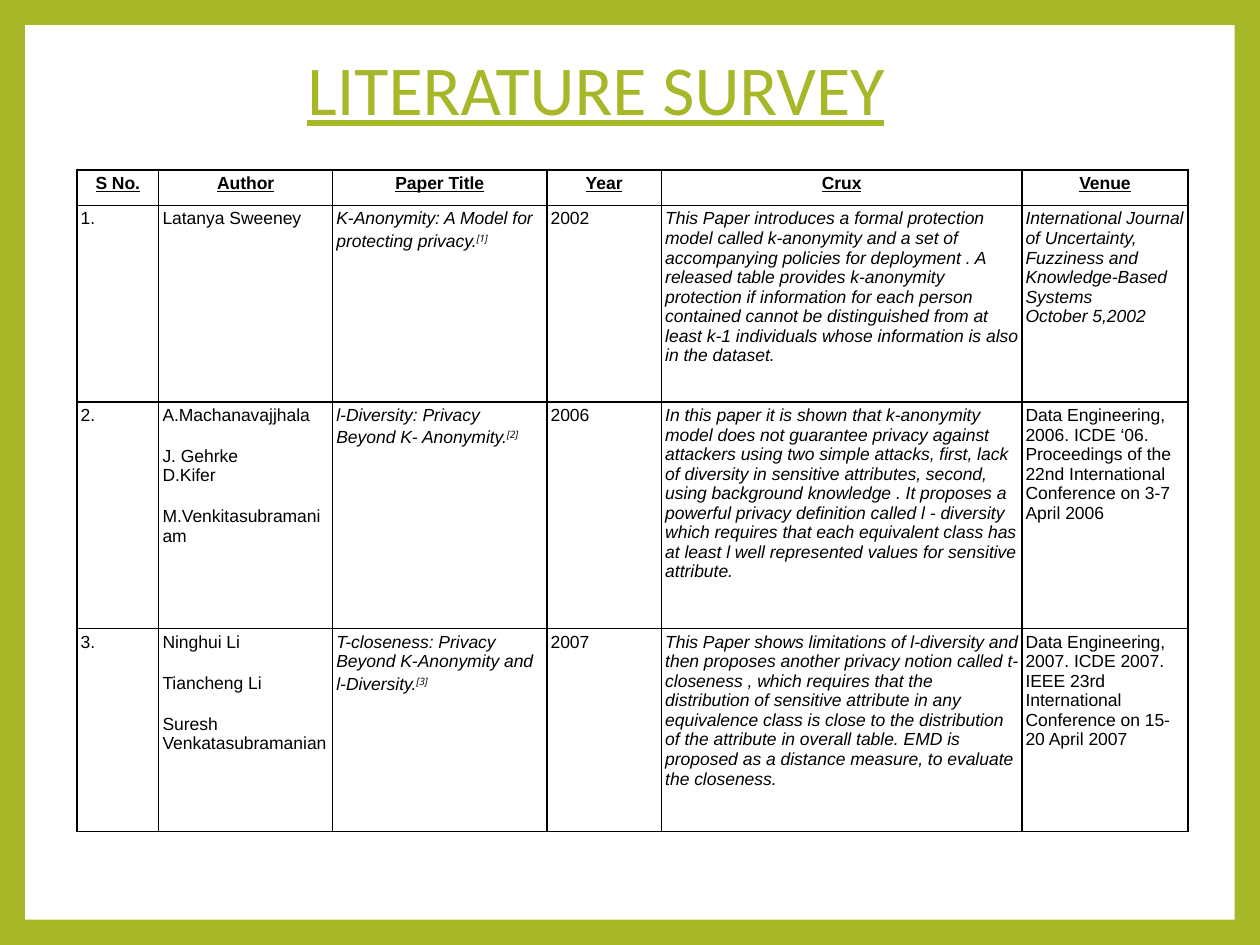
import pptx
import pptx.dml.color
import pptx.enum.shapes
import pptx.enum.text
import pptx.oxml
import pptx.oxml.ns
import pptx.util

WIDTH, HEIGHT = 10, 7.5
COLORS = {"green": "A6B727", "white": "FFFFFF", "black": "000000"}
COLUMN_WIDTHS = [0.65, 1.38, 1.7, 0.91, 2.86, 1.32]
ROW_HEIGHTS = [0.28, 1.56, 1.8, 1.61]
GROUP_GAP = 12.2  # points between groups of authors

HEADERS = ["S No.", "Author", "Paper Title", "Year", "Crux", "Venue"]
# Author groups, paper title, year, crux, venue lines, italic venue
PAPERS = [
    ([["Latanya Sweeney"]],
     "K-Anonymity: A Model for protecting privacy.", "2002",
     "This Paper introduces a formal protection model called k-anonymity and a set of "
     "accompanying policies for deployment . A released table provides k-anonymity "
     "protection if information for each person contained cannot be distinguished from "
     "at least k-1 individuals whose information is also in the dataset.",
     ["International Journal of Uncertainty, Fuzziness and Knowledge-Based Systems",
      "October 5,2002"], True),
    ([["A.Machanavajjhala"], ["J. Gehrke", "D.Kifer"], ["M.Venkitasubramaniam"]],
     "l-Diversity: Privacy Beyond K- Anonymity.", "2006",
     "In this paper it is shown that k-anonymity model does not guarantee privacy against "
     "attackers using two simple attacks, first, lack of diversity in sensitive attributes, "
     "second, using background knowledge . It proposes a powerful privacy definition called "
     "l - diversity which requires that each equivalent class has at least l well "
     "represented values for sensitive attribute.",
     ["Data Engineering, 2006. ICDE ‘06. Proceedings of the 22nd International "
      "Conference on 3-7 April 2006"], False),
    ([["Ninghui Li"], ["Tiancheng Li"], ["Suresh Venkatasubramanian"]],
     "T-closeness: Privacy Beyond K-Anonymity and l-Diversity.", "2007",
     "This Paper shows limitations of l-diversity and then proposes another privacy notion "
     "called t-closeness , which requires that the distribution of sensitive attribute in "
     "any equivalence class is close to the distribution of the attribute in overall table. "
     "EMD is proposed as a distance measure, to evaluate the closeness.",
     ["Data Engineering, 2007. ICDE 2007. IEEE 23rd International Conference on "
      "15-20 April 2007"], False),
]


def color(name):
    return pptx.dml.color.RGBColor.from_string(COLORS[name])


def box(left, top, width, height):
    return [pptx.util.Inches(value) for value in (left, top, width, height)]


def add_run(paragraph, text, size=10, font="Arial", ink="black",
            bold=False, italic=False, underline=False):
    run = paragraph.add_run()
    run.text = text
    run.font.size = pptx.util.Pt(size)
    run.font.name = font
    run.font.color.rgb = color(ink)
    run.font.bold, run.font.italic, run.font.underline = bold, italic, underline
    return run


def add_frame(slide):
    """Green background with a white panel behind the title."""
    slide.background.fill.solid()
    slide.background.fill.fore_color.rgb = color("green")
    margin = 0.2
    panel = slide.shapes.add_shape(
        pptx.enum.shapes.MSO_SHAPE.RECTANGLE,
        *box(margin, margin, WIDTH - 2 * margin, HEIGHT - 2 * margin))
    panel.shadow.inherit = False
    panel.fill.solid()
    panel.fill.fore_color.rgb = color("white")
    panel.line.fill.background()
    slide.shapes.title.element.addprevious(panel.element)


def add_title(slide, text):
    title = slide.shapes.title
    title.left, title.top, title.width, title.height = box(2.34, 0, 8.1, 1.48)
    title.text_frame.vertical_anchor = pptx.enum.text.MSO_ANCHOR.MIDDLE
    paragraph = title.text_frame.paragraphs[0]
    paragraph.alignment = pptx.enum.text.PP_ALIGN.LEFT
    paragraph.line_spacing = 0.9
    add_run(paragraph, text, 40, "Calibri", "green", underline=True)


def style_cell(cell):
    cell.margin_left = cell.margin_right = pptx.util.Inches(0.03)
    cell.margin_top = cell.margin_bottom = pptx.util.Inches(0.03)
    properties = cell._tc.get_or_add_tcPr()
    for side in "LRTB":
        properties.append(pptx.oxml.parse_xml(
            f'<a:ln{side} {pptx.oxml.ns.nsdecls("a")} w="12700"><a:solidFill>'
            f'<a:srgbClr val="{COLORS["black"]}"/></a:solidFill></a:ln{side}>'))
    cell.fill.background()


def fill_cell(cell, groups, **style):
    """One paragraph per line, with a gap before each later group."""
    paragraph = None
    for group in groups:
        for index, line in enumerate(group):
            if paragraph is None:
                paragraph = cell.text_frame.paragraphs[0]
            else:
                paragraph = cell.text_frame.add_paragraph()
                paragraph.space_before = pptx.util.Pt(0 if index else GROUP_GAP)
            add_run(paragraph, line, **style)
    return paragraph


def add_reference(paragraph, number):
    run = add_run(paragraph, f"[{number}]", font="Open Sans", italic=True)
    run._r.get_or_add_rPr().set("baseline", "30000")


def add_survey_table(slide):
    table = slide.shapes.add_table(
        len(ROW_HEIGHTS), len(COLUMN_WIDTHS),
        *box(0.61, 1.35, sum(COLUMN_WIDTHS), sum(ROW_HEIGHTS))).table
    for column, width in zip(table.columns, COLUMN_WIDTHS):
        column.width = pptx.util.Inches(width)
    for row, height in zip(table.rows, ROW_HEIGHTS):
        row.height = pptx.util.Inches(height)
    for cell in table.iter_cells():
        style_cell(cell)

    # Header row
    for cell, header in zip(table.rows[0].cells, HEADERS):
        paragraph = fill_cell(cell, [[header]], bold=True, underline=True)
        paragraph.alignment = pptx.enum.text.PP_ALIGN.CENTER

    # One row per paper
    for number, paper in enumerate(PAPERS, start=1):
        authors, paper_title, year, crux, venue, italic_venue = paper
        cells = table.rows[number].cells
        fill_cell(cells[0], [[f"{number}."]])
        fill_cell(cells[1], authors)
        add_reference(fill_cell(cells[2], [[paper_title]], italic=True), number)
        fill_cell(cells[3], [[year]])
        fill_cell(cells[4], [[crux]], italic=True)
        fill_cell(cells[5], [venue], italic=italic_venue)


def main():
    presentation = pptx.Presentation()
    presentation.slide_width = pptx.util.Inches(WIDTH)
    presentation.slide_height = pptx.util.Inches(HEIGHT)
    slide = presentation.slides.add_slide(presentation.slide_layouts[5])
    add_frame(slide)
    add_title(slide, "LITERATURE SURVEY")
    add_survey_table(slide)
    presentation.save("out.pptx")


if __name__ == "__main__":
    main()
